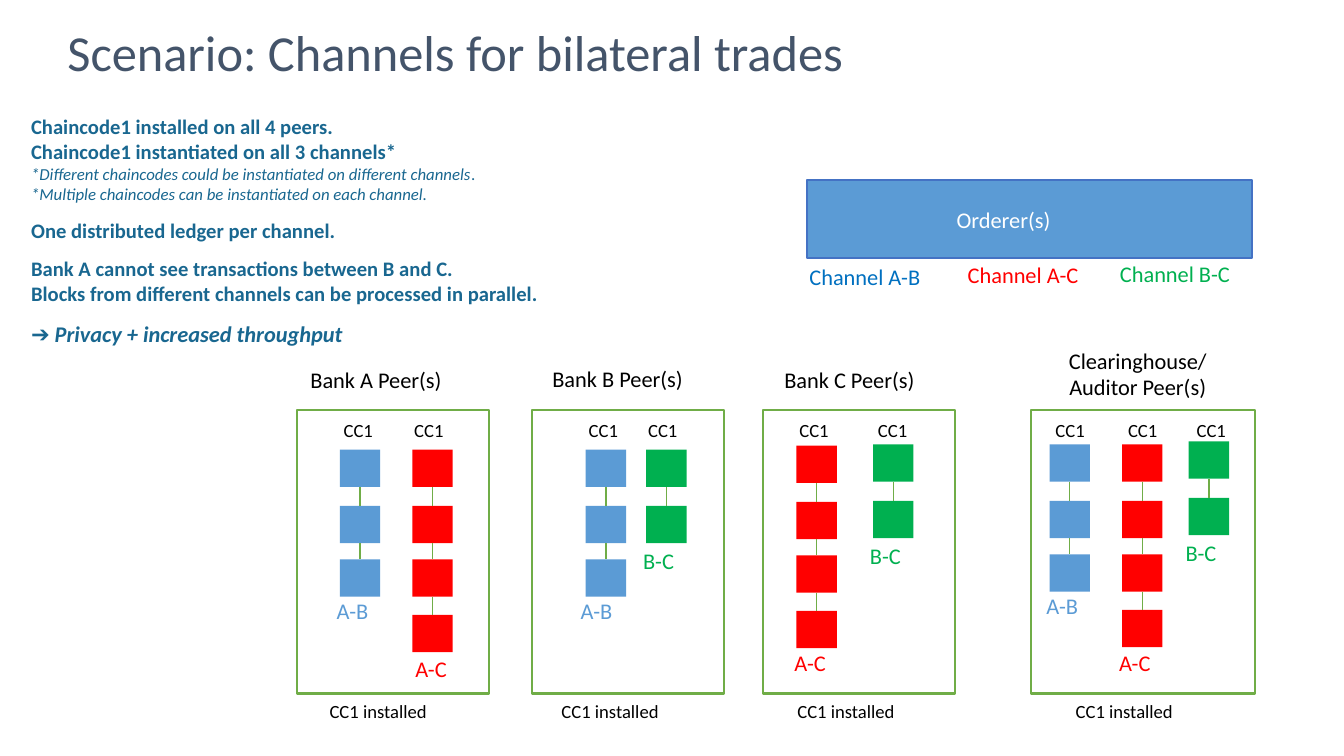
from dataclasses import dataclass
from itertools import pairwise
from typing import NamedTuple, Optional

from lxml import etree
from pptx import Presentation
from pptx import util as u
from pptx.dml import color
from pptx.enum import shapes, text
from pptx.oxml import ns

PX = 9144  # one px is a hundredth of an inch
FONT = "Calibri"
BLACK, WHITE, NAVY, TEAL = "000000", "FFFFFF", "44546A", "196790"
BLUE, RED, GREEN = "5B9BD5", "FF0000", "00B050"
CHANNEL_BLUE, ORDERER_EDGE, PEER_EDGE = "0070C0", "4472C4", "70AD47"
CHANNEL_COLOURS = {"A-B": BLUE, "A-C": RED, "B-C": GREEN}
BLOCK_WIDTH, BLOCK_HEIGHT = 40, 37
BLOCK_OFFSETS = (0, 56, 109, 164)
PEER_TOP, PEER_HEIGHT = 407, 281


class Box(NamedTuple):
    left: int
    top: int
    width: int
    height: int


class Run(NamedTuple):
    words: str
    size: float = 16
    colour: str = BLACK
    bold: bool = False
    italic: bool = False


class Line(NamedTuple):
    runs: list[Run]
    space_before: int = 0


@dataclass
class Chain:
    channel: str
    left: int
    top: int
    blocks: int
    label_left: int
    label_top: int
    chaincode_left: int


@dataclass
class Peer:
    names: list[str]
    name_box: Box
    left: int
    width: int
    installed_left: int
    chains: list[Chain]


PEERS = [
    Peer(["Bank A Peer(s)"], Box(298, 358, 178, 37), 295, 190, 317, [
        Chain("A-B", 337, 446, 3, 324, 588, 331),
        Chain("A-C", 409, 446, 4, 402, 645, 401),
    ]),
    Peer(["Bank B Peer(s)"], Box(538, 357, 178, 37), 528, 190, 547, [
        Chain("A-B", 581, 446, 3, 566, 588, 574),
        Chain("B-C", 641, 446, 2, 628, 538, 633),
    ]),
    Peer(["Bank C Peer(s)"], Box(768, 358, 182, 37), 757, 190, 781, [
        Chain("A-C", 790, 442, 4, 778, 639, 783),
        Chain("B-C", 866, 441, 2, 853, 533, 861),
    ]),
    Peer(["Clearinghouse/", "Auditor Peer(s)"], Box(1025, 339, 207, 64), 1023, 222, 1057, [
        Chain("A-B", 1041, 441, 3, 1028, 583, 1037),
        Chain("A-C", 1113, 441, 4, 1100, 639, 1109),
        Chain("B-C", 1179, 438, 2, 1166, 530, 1177),
    ]),
]

CHANNEL_LABELS = [
    ("Channel A-B", 793, 256, CHANNEL_BLUE),
    ("Channel A-C", 950, 254, RED),
    ("Channel B-C", 1101, 253, GREEN),
]


def strong(words: str) -> Run:
    return Run(words, 14.7, TEAL, bold=True)


def remark(words: str, italic: bool = True) -> Run:
    return Run(words, 12, TEAL, italic=italic)


NOTES = [
    Line([strong("Chaincode1 installed on all 4 peers.")]),
    Line([strong("Chaincode1 instantiated on all 3 channels*")]),
    Line([remark("*Different chaincodes could be instantiated on different channels"),
          remark(".", italic=False)]),
    Line([remark("*Multiple chaincodes can be instantiated on each channel.")]),
    Line([strong("One distributed ledger per channel.")], 10),
    Line([strong("Bank A cannot see transactions between B and C.")], 10),
    Line([strong("Blocks from different channels can be processed in parallel.")]),
    Line([Run("➔ ", 16, TEAL, bold=True),
          Run("Privacy + increased throughput", 16, TEAL, bold=True, italic=True)], 10),
]


def rgb(value: str) -> color.RGBColor:
    return color.RGBColor.from_string(value)


def emu(box: Box) -> list[int]:
    return [length * PX for length in box]


def add_rectangle(slide, box: Box, fill: Optional[str] = None, edge: Optional[str] = None):
    shape = slide.shapes.add_shape(shapes.MSO_SHAPE.RECTANGLE, *emu(box))
    shape.shadow.inherit = False
    if fill:
        shape.fill.solid()
        shape.fill.fore_color.rgb = rgb(fill)
    else:
        shape.fill.background()
    if edge:
        shape.line.color.rgb = rgb(edge)
        shape.line.width = u.Pt(1.5)
    else:
        shape.line.fill.background()
    return shape


def add_text(slide, box: Box, lines: list[Line], centred: bool = False, wrap: bool = True):
    shape = slide.shapes.add_textbox(*emu(box))
    frame = shape.text_frame
    frame.word_wrap = wrap
    for index, line in enumerate(lines):
        paragraph = frame.add_paragraph() if index else frame.paragraphs[0]
        paragraph.alignment = text.PP_ALIGN.CENTER if centred else text.PP_ALIGN.LEFT
        paragraph.space_before = u.Pt(line.space_before)
        for part in line.runs:
            run = paragraph.add_run()
            run.text = part.words
            run.font.name = FONT
            run.font.size = u.Pt(part.size)
            run.font.bold = part.bold
            run.font.italic = part.italic
            run.font.color.rgb = rgb(part.colour)
    return shape


def add_link(slide, upper, lower) -> None:
    link = slide.shapes.add_connector(shapes.MSO_CONNECTOR.STRAIGHT, 0, 0, 0, 0)
    link.begin_connect(upper, 2)
    link.end_connect(lower, 0)
    link.line.color.rgb = rgb(PEER_EDGE)
    link.line.width = u.Pt(1)
    etree.SubElement(link._element.spPr, ns.qn("a:effectLst"))


def add_chain(slide, chain: Chain) -> None:
    colour = CHANNEL_COLOURS[chain.channel]
    blocks = [
        add_rectangle(slide, Box(chain.left, chain.top + offset, BLOCK_WIDTH, BLOCK_HEIGHT), colour)
        for offset in BLOCK_OFFSETS[:chain.blocks]
    ]
    for upper, lower in pairwise(blocks):
        add_link(slide, upper, lower)
    add_text(slide, Box(chain.label_left, chain.label_top, 52, 37),
             [Line([Run(chain.channel, colour=colour)])], wrap=False)
    add_text(slide, Box(chain.chaincode_left, 411, 66, 33), [Line([Run("CC1", 13.3)])])


def add_peer(slide, peer: Peer) -> None:
    add_rectangle(slide, Box(peer.left, PEER_TOP, peer.width, PEER_HEIGHT), edge=PEER_EDGE)
    add_text(slide, peer.name_box, [Line([Run(name)]) for name in peer.names],
             centred=len(peer.names) > 1)
    for chain in peer.chains:
        add_chain(slide, chain)
    add_text(slide, Box(peer.installed_left, 689, 152, 33), [Line([Run("CC1 installed", 13.3)])])


def main() -> None:
    presentation = Presentation()
    presentation.slide_width, presentation.slide_height = 1333 * PX, 750 * PX
    slide = presentation.slides.add_slide(presentation.slide_layouts[6])

    # Title and notes
    title = add_text(slide, Box(57, 28, 1150, 53),
                     [Line([Run("Scenario: Channels for bilateral trades", 36, NAVY)])])
    title.text_frame.vertical_anchor = text.MSO_ANCHOR.MIDDLE
    title.text_frame.paragraphs[0].line_spacing = 0.9
    add_text(slide, Box(21, 108, 644, 266), NOTES)

    # Orderer and its channels
    add_rectangle(slide, Box(800, 179, 442, 77), BLUE, ORDERER_EDGE)
    add_text(slide, Box(939, 200, 167, 37), [Line([Run("Orderer(s)", colour=WHITE)])])
    for words, left, top, colour in CHANNEL_LABELS:
        add_text(slide, Box(left, top, 193, 37), [Line([Run(words, colour=colour)])])

    # Peers with their ledgers
    for peer in PEERS:
        add_peer(slide, peer)

    presentation.save("out.pptx")


if __name__ == "__main__":
    main()
